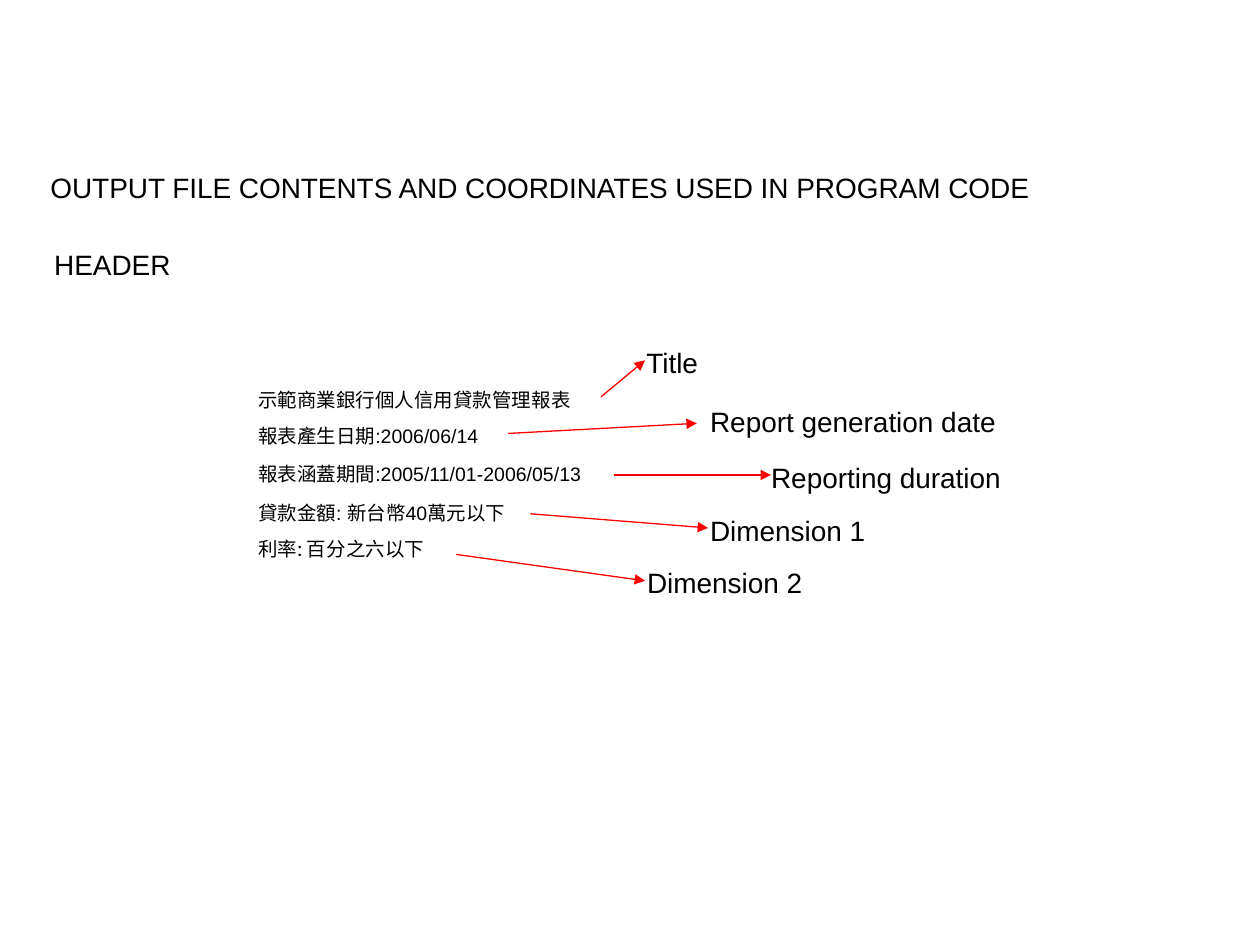
"""Builds a slide that maps the header lines of a report to their meaning."""
from lxml import etree
from pptx import Presentation
from pptx.dml.color import RGBColor
from pptx.enum.shapes import MSO_CONNECTOR
from pptx.enum.text import MSO_ANCHOR, MSO_AUTO_SIZE, PP_ALIGN
from pptx.oxml.ns import qn
from pptx.util import Pt

BLACK = RGBColor(0, 0, 0)
RED = RGBColor(255, 0, 0)
STRAIGHT = MSO_CONNECTOR.STRAIGHT
TOP, MIDDLE = MSO_ANCHOR.TOP, MSO_ANCHOR.MIDDLE
NO_FIT, GROW = MSO_AUTO_SIZE.NONE, MSO_AUTO_SIZE.SHAPE_TO_FIT_TEXT
LEFT = PP_ALIGN.LEFT
LATIN, CHINESE = "Arial", "Noto Sans CJK TC"
LABEL_SIZE, REPORT_SIZE = 16, 11.1
LABEL_HEIGHT = 26.6
ROW_LEFT, ROW_TOP, ROW_WIDTH, ROW_HEIGHT = 140.4, 217.4, 236.2, 21.6


def style_span(span, size, name=LATIN):
    span.font.size = Pt(size)
    span.font.name = name
    span.font.color.rgb = BLACK
    east_asian = etree.SubElement(span.font._element, qn("a:ea"))
    east_asian.set("typeface", CHINESE)


def add_label(page, text, left, top, width):
    box = page.shapes.add_textbox(Pt(left), Pt(top), Pt(width), Pt(LABEL_HEIGHT))
    box.text_frame.word_wrap = False
    box.text_frame.auto_size = GROW
    box.text_frame.text = text
    style_span(box.text_frame.paragraphs[0].runs[0], LABEL_SIZE)


deck = Presentation()
deck.slide_width, deck.slide_height = Pt(720), Pt(540)
page = deck.slides.add_slide(deck.slide_layouts[5])

title = page.shapes.title
title.left, title.top = Pt(21.6), Pt(93.6)
title.width, title.height = Pt(669), Pt(LABEL_HEIGHT)
title.text_frame.text = "OUTPUT FILE CONTENTS AND COORDINATES USED IN PROGRAM CODE"
title.text_frame.vertical_anchor = TOP
title.text_frame.auto_size = NO_FIT
title.text_frame.paragraphs[0].alignment = LEFT
style_span(title.text_frame.paragraphs[0].runs[0], LABEL_SIZE)

add_label(page, "HEADER", 23.9, 138.2, 82)

report_rows = [
    (1.0, [("示範商業銀行個人", LATIN), ("信用貸款管理報表", CHINESE)]),
    (0.9, [("報表產生日期", CHINESE), (":2006/06/14", LATIN)]),
    (0.9, [("報表涵蓋期間", CHINESE), (":2005/11/01-2006/05/13", LATIN)]),
    (1.0, [("貸款金額: 新台幣40萬元以下", LATIN)]),
    (0.9, [("利率: 百分之六以下", CHINESE)]),
]
for index, (spacing, pieces) in enumerate(report_rows):
    row_top = ROW_TOP + index * ROW_HEIGHT
    box = page.shapes.add_textbox(Pt(ROW_LEFT), Pt(row_top), Pt(ROW_WIDTH), Pt(ROW_HEIGHT))
    box.text_frame.word_wrap = True
    box.text_frame.vertical_anchor = MIDDLE
    para = box.text_frame.paragraphs[0]
    para.line_spacing = spacing
    for text, name in pieces:
        span = para.add_run()
        span.text = text
        style_span(span, REPORT_SIZE, name)

labels = [
    ("Title", 362.3, 193.8, 45),
    ("Report generation date", 398.7, 227.5, 179),
    ("Reporting duration", 433.6, 259.8, 147),
    ("Dimension 1", 398.7, 289.8, 104),
    ("Dimension 2", 362.7, 319.7, 104),
]
for label in labels:
    add_label(page, *label)

arrows = [
    (343.4, 226.8, 368.6, 205.9),
    (290.2, 247.7, 398.2, 241.9),
    (350.6, 271.4, 440.6, 271.4),
    (303.1, 293.6, 404.6, 301.7),
    (260.6, 316.8, 368.6, 331.9),
]
for ends in arrows:
    arrow = page.shapes.add_connector(STRAIGHT, *map(Pt, ends))
    arrow.line.color.rgb = RED
    arrow.line.width = Pt(0.75)
    head = etree.SubElement(arrow.line._get_or_add_ln(), qn("a:tailEnd"))
    head.set("type", "triangle")
    etree.SubElement(arrow._element.spPr, qn("a:effectLst"))

deck.save("out.pptx")
